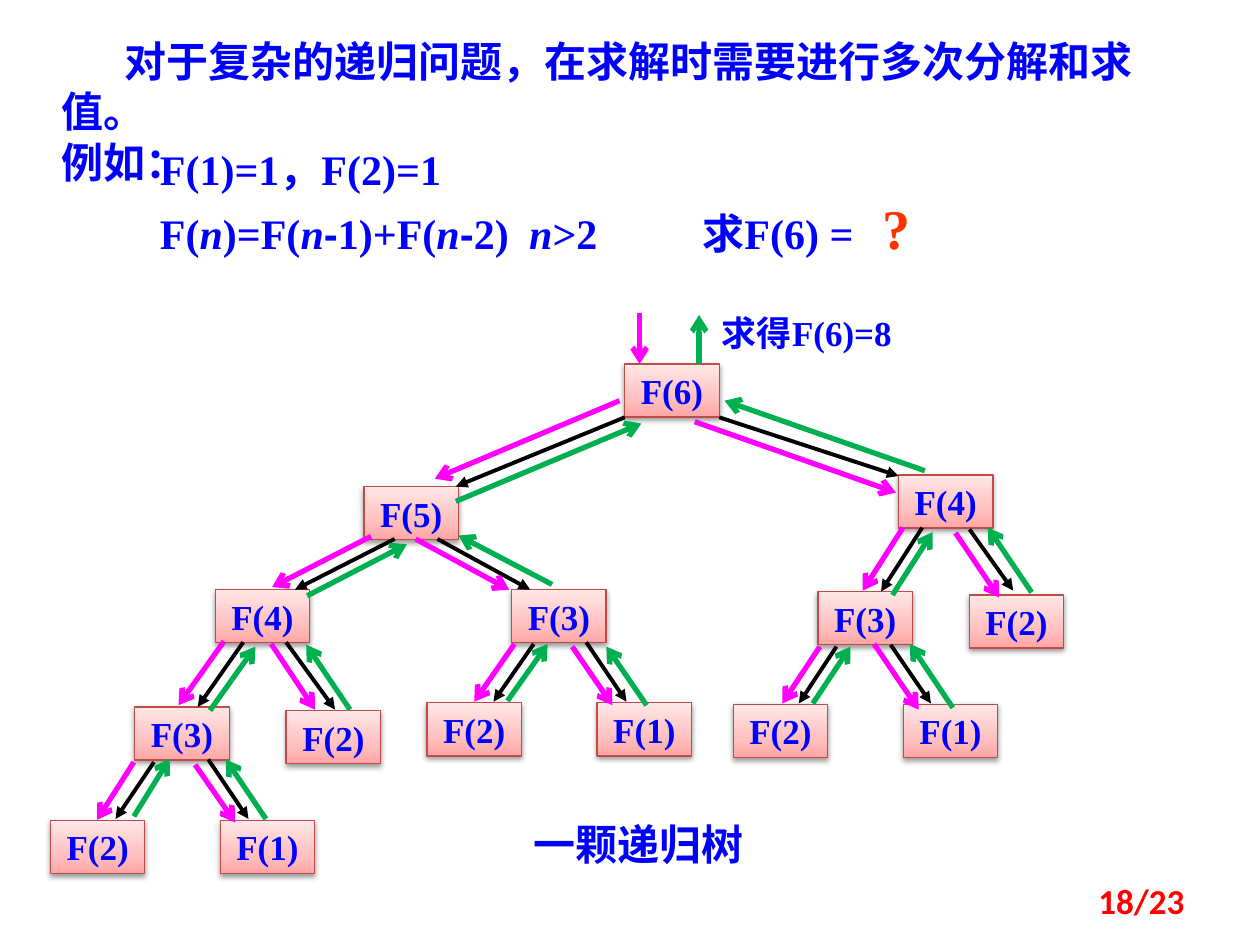
from dataclasses import dataclass

from pptx import Presentation
from pptx.dml.color import RGBColor
from pptx.enum.dml import MSO_LINE
from pptx.enum.shapes import MSO_CONNECTOR, MSO_SHAPE
from pptx.enum.text import MSO_ANCHOR, PP_ALIGN
from pptx.oxml.ns import qn
from pptx.util import Pt
from lxml import etree

SOLID = MSO_LINE.SOLID
STRAIGHT = MSO_CONNECTOR.STRAIGHT
RECTANGLE = MSO_SHAPE.RECTANGLE
MIDDLE, TOP = MSO_ANCHOR.MIDDLE, MSO_ANCHOR.TOP
LEFT, CENTER, RIGHT = PP_ALIGN.LEFT, PP_ALIGN.CENTER, PP_ALIGN.RIGHT


@dataclass(frozen=True)
class Theme:
    serif: str = "Times New Roman"
    minus: str = "Arial"
    footer: str = "Calibri"
    text: str = "0000FF"
    question: str = "FF3300"
    number: str = "FF0000"
    border: str = "BF4C48"
    link: str = "000000"
    call: str = "FF00FF"
    result: str = "00B050"
    gradient: tuple = ((0, "FFA6A5"), (35, "FFC0BF"), (100, "FFE7E7"))
    body_size: int = 24
    node_size: int = 20
    question_size: int = 32


THEME = Theme()
NODE_SIZE = (54, 30.4)
INTRO_INDENT = 36
FORMULA_TABS = (211, 310, 413)

INTRO = ["对于复杂的递归问题，在求解时需要进行多次分解和求值。", "例如："]
BASE_CASES = "F(1)=1，F(2)=1"
RECURRENCE = ["F(", "n", ")=F(", "n", "-", "1)+F(", "n", "-", "2)\t", "n",
              ">2\t求F(6) =\t", "?"]

NODES = [
    ("F(6)", 357, 208),
    ("F(5)", 208, 278), ("F(4)", 513.4, 271.4),
    ("F(4)", 123, 337), ("F(3)", 292.4, 337),
    ("F(3)", 467.4, 338), ("F(2)", 553.8, 340),
    ("F(3)", 77, 404), ("F(2)", 163.5, 406),
    ("F(2)", 244, 401.6), ("F(1)", 341.2, 401.6),
    ("F(2)", 419, 402.5), ("F(1)", 516.2, 402.5),
    ("F(2)", 28.8, 468.8), ("F(1)", 125.8, 468.8),
]

# link, call, result
EDGES = [
    ((357, 238.5, 260.5, 278), (354, 229, 248.5, 273.5), (260.5, 286.5, 366.5, 242)),
    ((411, 238.5, 513.5, 272), (397, 241, 512, 281.5), (528.5, 269, 414, 229)),
    ((225.5, 308, 168.5, 337), (212, 306.5, 155.5, 335.5), (175.5, 340.5, 232.5, 311)),
    ((250, 308, 303, 337), (237.5, 308, 291, 337), (315.5, 334, 262, 306)),
    ((139, 367, 113, 404), (128, 366.5, 102, 403), (120, 406, 146, 369.5)),
    ((163.5, 367, 191.5, 405.5), (155, 368, 180, 405.5), (200, 405.5, 175, 368.5)),
    ((88, 435.5, 66, 468), (76.5, 435.5, 55.5, 468.5), (76.5, 466.5, 97, 433.5)),
    ((119, 434, 142, 468), (111.5, 437, 134.5, 470), (152, 468, 129, 434)),
    ((305, 368, 282, 401), (294, 368, 271, 401), (290, 400.5, 313, 368)),
    ((335, 367, 358, 401), (327, 369.5, 350, 403), (369.5, 403, 346.5, 369.5)),
    ((527, 301.5, 503.5, 338), (516, 301.5, 493, 337.5), (510, 340, 533, 304)),
    ((554, 302.5, 579, 337.5), (546, 304.5, 571, 341.5), (589.5, 338.5, 564.5, 301.5)),
    ((478, 369.5, 456.5, 402), (468.5, 369.5, 447, 402), (464.5, 402, 486, 369.5)),
    ((509, 368.5, 532, 402), (499.5, 368, 525, 405.5), (544.5, 404.5, 520, 368)),
]
ROOT_CALL = (365.5, 179, 365.5, 208)
ROOT_RESULT = (399.5, 208, 399.5, 180)


def color(value):
    return RGBColor.from_string(value)


def child(parent, tag, **attributes):
    return etree.SubElement(parent, qn(tag), attributes)


def style(span, size, tint=THEME.text, face=THEME.serif, italic=False):
    span.font.size = Pt(size)
    span.font.name = face
    span.font.bold = True
    span.font.italic = italic
    span.font.color.rgb = color(tint)


def add_text(page, bounds, lines, size, tint=THEME.text, face=THEME.serif,
             align=LEFT, anchor=TOP):
    box = page.shapes.add_textbox(*map(Pt, bounds))
    frame = box.text_frame
    frame.word_wrap = True
    frame.vertical_anchor = anchor
    frame.text = "\n".join(lines)
    for para in frame.paragraphs:
        para.alignment = align
        for span in para.runs:
            style(span, size, tint, face)
    return frame


def add_formula(page):
    frame = add_text(page, (84.3, 78.5, 486, 75), [BASE_CASES], THEME.body_size)
    para = frame.add_paragraph()
    for piece in RECURRENCE:
        span = para.add_run()
        span.text = piece
        face = THEME.minus if piece == "-" else THEME.serif
        style(span, THEME.body_size, face=face, italic=piece == "n")
    style(para.runs[-1], THEME.question_size, THEME.question)
    para.alignment = LEFT
    stops = child(para._p.get_or_add_pPr(), "a:tabLst")
    for stop in FORMULA_TABS:
        child(stops, "a:tab", pos=str(Pt(stop)), algn="l")


def add_node(page, label, left, top):
    node = page.shapes.add_shape(RECTANGLE, *map(Pt, (left, top, *NODE_SIZE)))
    node.fill.gradient()
    node.fill.gradient_angle = 90
    stops = node._element.spPr.find(".//" + qn("a:gsLst"))
    for stop in list(stops):
        stops.remove(stop)
    for position, tint in THEME.gradient:
        stop = child(stops, "a:gs", pos=str(position * 1000))
        child(stop, "a:srgbClr", val=tint)
    node.line.color.rgb = color(THEME.border)
    node.line.width = Pt(0.75)
    node.shadow.inherit = False
    effects = node._element.spPr.find(qn("a:effectLst"))
    shadow = child(effects, "a:outerShdw", blurRad=str(Pt(3.1)), dist=str(Pt(1.6)),
                   dir="5400000", rotWithShape="0")
    child(child(shadow, "a:srgbClr", val="000000"), "a:alpha", val="38000")
    frame = node.text_frame
    frame.word_wrap = False
    frame.vertical_anchor = MIDDLE
    frame.text = label
    para = frame.paragraphs[0]
    para.alignment = CENTER
    style(para.runs[0], THEME.node_size)


def add_arrow(page, ends, tint, width=3, head="arrow"):
    arrow = page.shapes.add_connector(STRAIGHT, *map(Pt, ends))
    arrow.line.color.rgb = color(tint)
    arrow.line.width = Pt(width)
    arrow.line.dash_style = SOLID
    child(arrow.line._get_or_add_ln(), "a:tailEnd", type=head)
    child(arrow._element.spPr, "a:effectLst")


def main():
    deck = Presentation()
    deck.slide_width, deck.slide_height = Pt(720), Pt(540)
    page = deck.slides.add_slide(deck.slide_layouts[6])

    add_formula(page)
    for node in NODES:
        add_node(page, *node)
    for link, _, _ in EDGES:
        add_arrow(page, link, THEME.link, 2.25, "triangle")

    add_text(page, (405.4, 174.2, 150.5, 31.5), ["求得F(6)=8"], THEME.node_size)
    add_text(page, (298, 464.4, 174.2, 36), ["一颗递归树"], THEME.body_size)
    intro = add_text(page, (28.1, 16.6, 669.6, 65.5), INTRO, THEME.body_size)
    properties = intro.paragraphs[0]._p.get_or_add_pPr()
    properties.set("indent", str(Pt(INTRO_INDENT)))
    properties.set("hangingPunct", "0")
    add_text(page, (516.2, 500.4, 167.8, 28.8), ["18/23"], THEME.node_size,
             THEME.number, THEME.footer, RIGHT, MIDDLE)

    calls = [ROOT_CALL] + [call for _, call, _ in EDGES]
    results = [result for _, _, result in EDGES] + [ROOT_RESULT]
    for ends in calls:
        add_arrow(page, ends, THEME.call)
    for ends in results:
        add_arrow(page, ends, THEME.result)

    deck.save("out.pptx")


if __name__ == "__main__":
    main()
